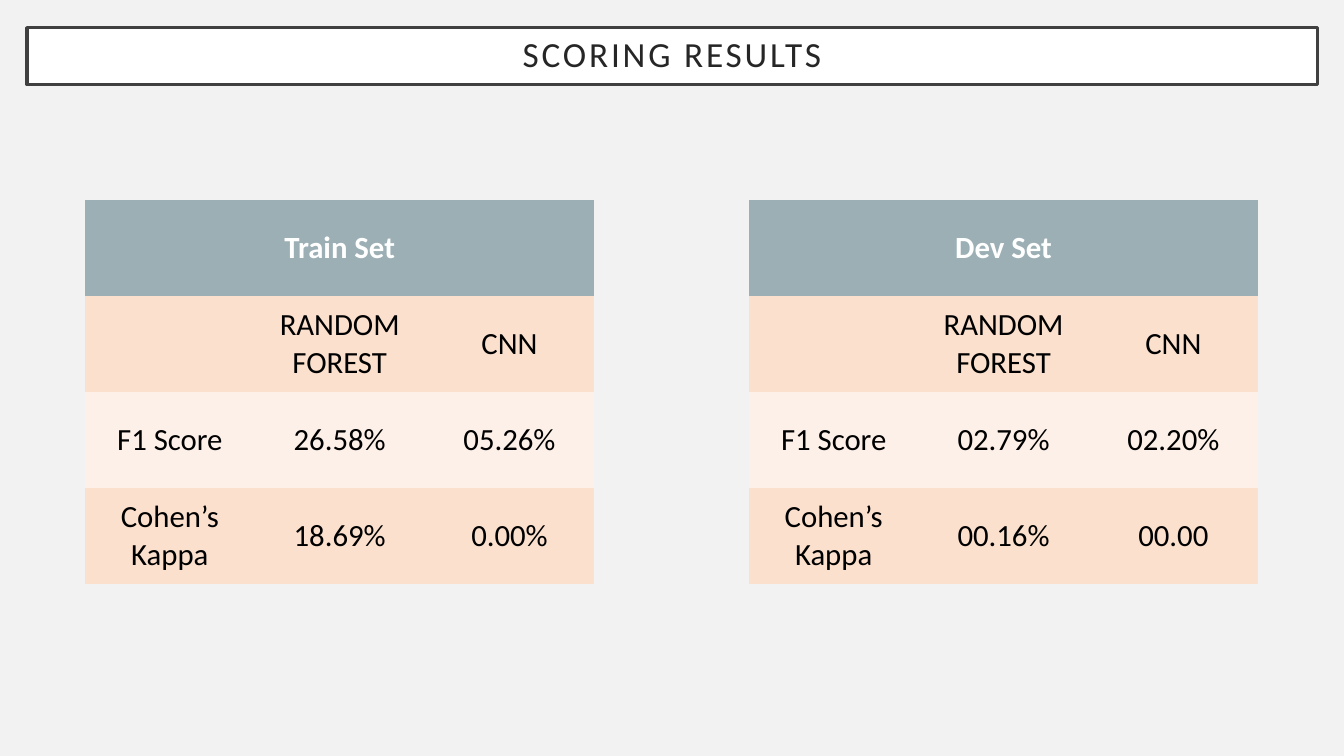
from dataclasses import dataclass

from lxml import etree
from pptx import Presentation
from pptx.dml.color import RGBColor
from pptx.enum.shapes import MSO_SHAPE
from pptx.enum.text import MSO_ANCHOR, PP_ALIGN
from pptx.util import Cm, Pt

RECT = MSO_SHAPE.RECTANGLE
MIDDLE = MSO_ANCHOR.MIDDLE
CENTER = PP_ALIGN.CENTER
PLAIN_STYLE = "{2D5ABB26-0587-4C30-8999-92F81FD0307C}"  # no fill, no grid


@dataclass(frozen=True)
class Theme:
    font: str = "Calibri"
    title_size: float = 25.2
    cell_size: float = 22
    back: str = "F2F2F2"
    white: str = "FFFFFF"
    frame: str = "404040"
    title: str = "262626"
    text: str = "000000"
    head: str = "9BAFB5"
    bands: tuple = ("FBE0CD", "FDF0E8")


theme = Theme()


def paint(fill, color):
    fill.solid()
    fill.fore_color.rgb = RGBColor.from_string(color)


def write(para, text, size, color, bold=False):
    para.text = text
    para.alignment = CENTER
    para.font.name = theme.font
    para.font.size = Pt(size)
    para.font.bold = bold
    para.font.color.rgb = RGBColor.from_string(color)


deck = Presentation()
deck.slide_width, deck.slide_height = Cm(33.87), Cm(19.05)
slide = deck.slides.add_slide(deck.slide_layouts[6])
paint(slide.background.fill, theme.back)

# Title bar
bar = slide.shapes.add_shape(RECT, Cm(0.68), Cm(0.7), Cm(32.52), Cm(1.43))
bar.shadow.inherit = False
paint(bar.fill, theme.white)
paint(bar.line.fill, theme.frame)
bar.line.width = Pt(2.5)
frame = bar.text_frame
frame.word_wrap = True
frame.vertical_anchor = MIDDLE
frame.margin_top = frame.margin_bottom = 0
para = frame.paragraphs[0]
write(para, "SCORING RESULTS", theme.title_size, theme.title)
para.line_spacing = 0.9
para.runs[0].font._element.set("spc", "200")

# Score tables
HEADS = ("", "RANDOM FOREST", "CNN")
LABELS = ("F1 Score", "Cohen’s Kappa")
SETS = (
    ("Train Set", 2.14, (("26.58%", "05.26%"), ("18.69%", "0.00%"))),
    ("Dev Set", 18.87, (("02.79%", "02.20%"), ("00.16%", "00.00"))),
)
COL, ROW, TOP = 4.28, 2.42, 5.04

for name, left, scores in SETS:
    rows = [HEADS] + [(label, *pair) for label, pair in zip(LABELS, scores)]
    count, width = len(rows) + 1, len(HEADS)
    item = slide.shapes.add_table(
        count, width, Cm(left), Cm(TOP), Cm(COL * width), Cm(ROW * count))
    table = item.table
    props = table._tbl.tblPr
    for old in list(props):
        props.remove(old)
    style = etree.SubElement(
        props, "{http://schemas.openxmlformats.org/drawingml/2006/main}tableStyleId")
    style.text = PLAIN_STYLE
    table.horz_banding = False

    head = table.cell(0, 0)
    head.merge(table.cell(0, width - 1))
    head.vertical_anchor = MIDDLE
    paint(head.fill, theme.head)
    write(head.text_frame.paragraphs[0], name, theme.cell_size, theme.white, True)

    for r, row in enumerate(rows):
        for c, text in enumerate(row):
            cell = table.cell(r + 1, c)
            cell.vertical_anchor = MIDDLE
            paint(cell.fill, theme.bands[r % 2])
            write(cell.text_frame.paragraphs[0], text, theme.cell_size, theme.text)

deck.save("out.pptx")
